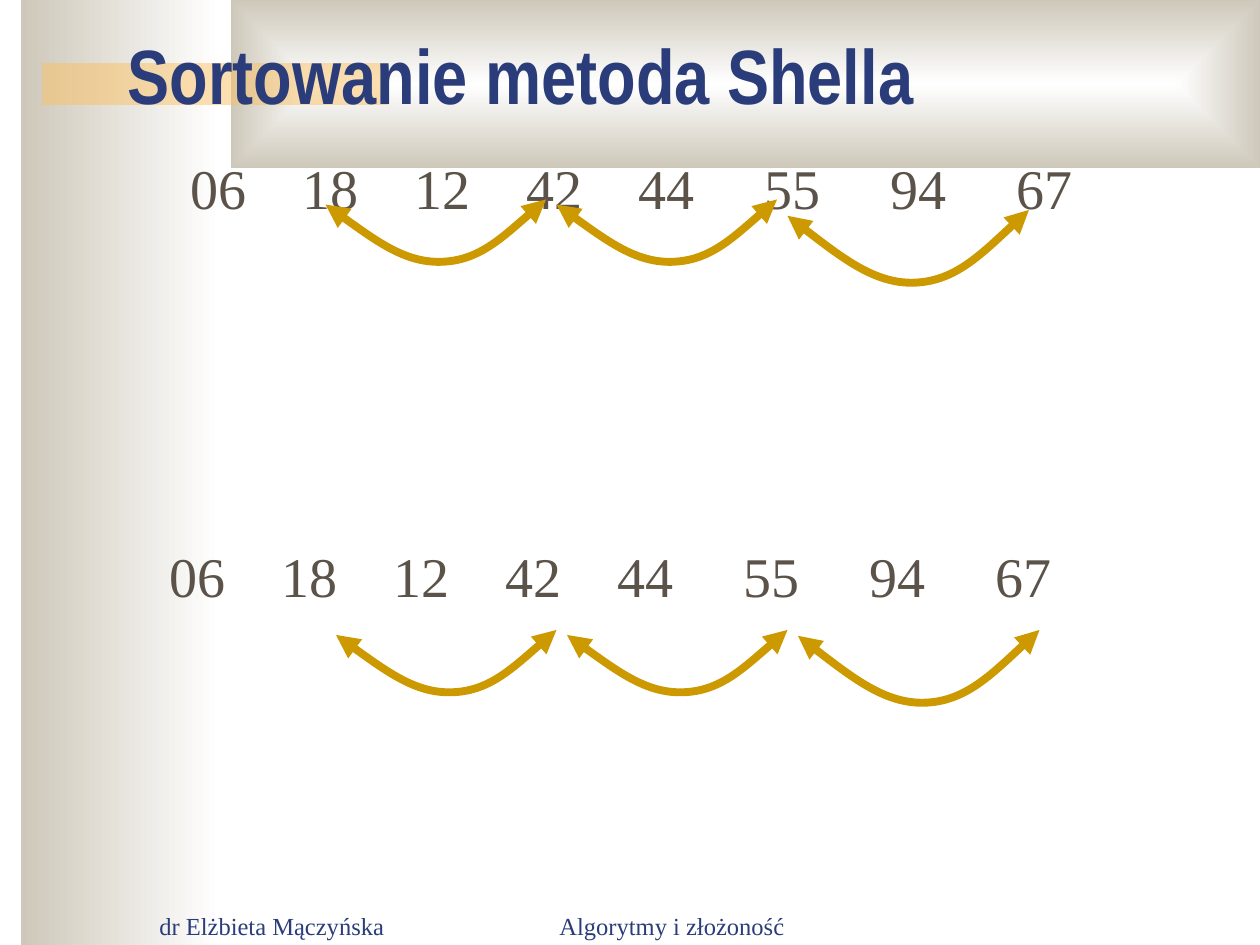
from lxml import etree
from pptx import Presentation
from pptx.dml.color import RGBColor
from pptx.enum.shapes import MSO_SHAPE
from pptx.enum.text import MSO_ANCHOR, PP_ALIGN
from pptx.oxml.ns import qn
from pptx.util import Pt

RECTANGLE = MSO_SHAPE.RECTANGLE
LEFT, CENTER = PP_ALIGN.LEFT, PP_ALIGN.CENTER
TOP, BOTTOM = MSO_ANCHOR.TOP, MSO_ANCHOR.BOTTOM

COLORS = {
    "white": "FFFFFF",
    "sand": "CEC8BA",
    "accent": "FAC164",
    "navy": "2A3D7A",
    "number": "5B5249",
    "arrow": "CC9900",
}
SERIF = "Times New Roman"
NUMBERS = ["06", "18", "12", "42", "44", "55", "94", "67"]
NUMBER_TABS = [64, 128, 192, 256, 328, 400, 472]
# Two Bezier segments as fractions of the arc's width and height
ARC_POINTS = [(0, 0.08), (0.18, 0.54), (0.36, 1), (0.52, 0.99),
              (0.69, 0.98), (0.84, 0.49), (1, 0)]
SMALL_ARC, LARGE_ARC = (126, 36), (138, 42)


def color(name):
    return RGBColor.from_string(COLORS[name])


def add_rectangle(slide, left, top, width, height):
    shape = slide.shapes.add_shape(RECTANGLE, Pt(left), Pt(top), Pt(width), Pt(height))
    shape.shadow.inherit = False
    shape.line.fill.background()
    return shape


def set_gradient(shape, first, last, from_center=False):
    fill = shape.fill
    fill.gradient()
    fill.gradient_angle = 0
    for stop, name in zip(fill.gradient_stops, (first, last)):
        stop.color.rgb = color(name)
    if from_center:
        gradient = shape._element.spPr.find(qn("a:gradFill"))
        gradient.remove(gradient.find(qn("a:lin")))
        shading = etree.SubElement(gradient, qn("a:path"), path="rect")
        etree.SubElement(shading, qn("a:fillToRect"),
                         l="50000", t="50000", r="50000", b="50000")


def set_solid(shape, name, opacity):
    shape.fill.solid()
    shape.fill.fore_color.rgb = color(name)
    rgb = shape._element.spPr.find(".//" + qn("a:srgbClr"))
    etree.SubElement(rgb, qn("a:alpha"), val=str(opacity * 1000))


def add_text(slide, text, left, top, width, height, size, color_name,
             font=SERIF, bold=False, align=LEFT, anchor=BOTTOM, wrap=True):
    box = slide.shapes.add_textbox(Pt(left), Pt(top), Pt(width), Pt(height))
    frame = box.text_frame
    frame.word_wrap = wrap
    frame.vertical_anchor = anchor
    frame.text = text
    paragraph = frame.paragraphs[0]
    paragraph.alignment = align
    for run in paragraph.runs:
        run.font.name = font
        run.font.size = Pt(size)
        run.font.bold = bold
        run.font.color.rgb = color(color_name)
    return paragraph


def add_number_row(slide, left, top):
    paragraph = add_text(slide, "\t".join(NUMBERS), left, top, 519, 46, 32,
                         "number", anchor=TOP, wrap=False)
    tabs = etree.Element(qn("a:tabLst"))
    for position in NUMBER_TABS:
        etree.SubElement(tabs, qn("a:tab"), pos=str(Pt(position)), algn="l")
    paragraph._p.get_or_add_pPr().append(tabs)


def add_arc(slide, left, top, size):
    width, height = size
    points = [(Pt(left + x * width), Pt(top + y * height)) for x, y in ARC_POINTS]
    builder = slide.shapes.build_freeform(*points[0])
    builder.add_line_segments(points[1:], close=False)
    shape = builder.convert_to_shape()
    shape.shadow.inherit = False
    shape.fill.background()
    shape.line.color.rgb = color("arrow")
    shape.line.width = Pt(4.5)

    # Each three straight segments become one Bezier curve
    properties = shape._element.spPr
    segments = list(properties.iter(qn("a:lnTo")))
    outline = segments[0].getparent()
    for start in range(0, len(segments), 3):
        curve = etree.SubElement(outline, qn("a:cubicBezTo"))
        for segment in segments[start:start + 3]:
            curve.append(segment[0])
            outline.remove(segment)

    line = properties.find(qn("a:ln"))
    for end in ("a:headEnd", "a:tailEnd"):
        etree.SubElement(line, qn(end), type="triangle")


def add_background(slide):
    set_gradient(add_rectangle(slide, 12, 0, 114, 540), "sand", "white")
    set_gradient(add_rectangle(slide, 132, 0, 588, 96), "white", "sand",
                 from_center=True)
    set_solid(add_rectangle(slide, 24, 36, 198, 24), "accent", 50)


def main():
    presentation = Presentation()
    presentation.slide_width, presentation.slide_height = Pt(720), Pt(540)
    slide = presentation.slides.add_slide(presentation.slide_layouts[6])

    add_background(slide)

    # Footer and title
    add_text(slide, "dr Elżbieta Mączyńska", 84, 505, 150, 36, 14, "navy")
    add_text(slide, "Algorytmy i złożoność", 270, 505, 228, 36, 14, "navy",
             align=CENTER)
    add_text(slide, "Sortowanie metoda Shella", 66, 6, 612, 66, 44, "navy",
             font="Arial Narrow", bold=True)

    # Number rows with arcs that join the compared elements
    add_number_row(slide, 101.5, 84)
    add_number_row(slide, 90, 306)
    for left, top, last_top in ((186, 114, 120), (192, 360, 360)):
        add_arc(slide, left, top, SMALL_ARC)
        add_arc(slide, left + 132, top, SMALL_ARC)
        add_arc(slide, left + 264, last_top, LARGE_ARC)

    presentation.save("out.pptx")


if __name__ == "__main__":
    main()
